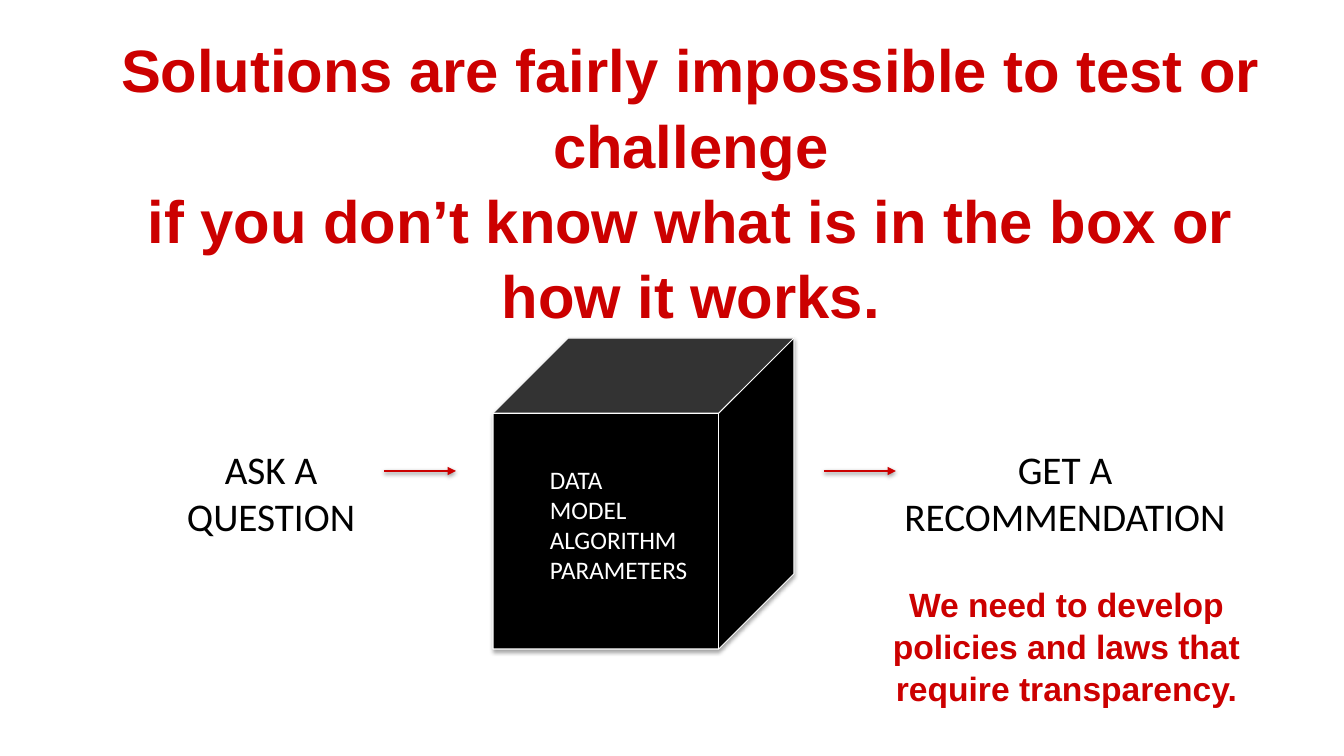
"""Build a slide showing a black box between a question and a recommendation."""
from pptx import Presentation
from pptx.dml.color import RGBColor
from pptx.enum.shapes import MSO_CONNECTOR, MSO_SHAPE
from pptx.enum.text import MSO_ANCHOR, MSO_AUTO_SIZE, PP_ALIGN
from pptx.oxml import parse_xml
from pptx.oxml.ns import nsdecls, qn
from pptx.util import Emu, Pt

RED = RGBColor(0xCC, 0x00, 0x00)
BLACK = RGBColor(0x00, 0x00, 0x00)
WHITE = RGBColor(0xFF, 0xFF, 0xFF)
EMU_PER_PX = 914400 / 100.8

TITLE = ["Solutions are fairly impossible to test or challenge\n"
         "if you don’t know what is in the box or how it works."]
TITLE_BOX = (86, 121, 1210, 118)
CUBE_BOX = (493, 338, 301, 311)
STATEMENT = {"font": "Arial", "color": RED, "bold": True,
             "anchor": MSO_ANCHOR.MIDDLE, "spacing": 1.05}
TEXTS = [
    (["DATA", "MODEL", "ALGORITHM", "PARAMETERS"], (540, 459, 231, 132),
     {"size": 18, "color": WHITE, "align": PP_ALIGN.LEFT}),
    (["ASK A QUESTION"], (133, 440, 276, 105), {"size": 28}),
    (["GET A", "RECOMMENDATION"], (878, 440, 374, 105), {"size": 28}),
    (["We need to develop policies and laws that require transparency."],
     (842, 586, 449, 118), {"size": 24, **STATEMENT}),
]
ARROW_STARTS = [384, 824]
ARROW_Y, ARROW_LENGTH = 471, 72


def px(*lengths):
    """Turn pixel lengths into EMU."""
    return [Emu(round(length * EMU_PER_PX)) for length in lengths]


def write_text(shape, lines, size=18, font="Calibri", color=BLACK, bold=False,
               align=PP_ALIGN.CENTER, anchor=MSO_ANCHOR.TOP, spacing=1.0):
    """Fill a shape with one formatted paragraph per line."""
    frame = shape.text_frame
    frame.word_wrap = True
    frame.auto_size = MSO_AUTO_SIZE.NONE
    frame.vertical_anchor = anchor
    for index, line in enumerate(lines):
        paragraph = frame.paragraphs[0] if index == 0 else frame.add_paragraph()
        paragraph.text = line
        paragraph.alignment = align
        paragraph.line_spacing = spacing
        for run in paragraph.runs:
            run.font.size = Pt(size)
            run.font.name = font
            run.font.bold = bold
            run.font.color.rgb = color


def add_shadow(shape, distance, opacity):
    """Cast a soft black shadow straight down."""
    shape._element.spPr.append(parse_xml(
        f'<a:effectLst {nsdecls("a")}>'
        f'<a:outerShdw blurRad="{Pt(3.1)}" dist="{Pt(distance)}" dir="5400000" rotWithShape="0">'
        f'<a:srgbClr val="{BLACK}"><a:alpha val="{opacity * 1000}"/></a:srgbClr>'
        '</a:outerShdw></a:effectLst>'))


def add_cube(slide):
    """Draw the black box."""
    cube = slide.shapes.add_shape(MSO_SHAPE.CUBE, *px(*CUBE_BOX))
    cube.fill.solid()
    cube.fill.fore_color.rgb = BLACK
    cube.line.color.rgb = WHITE
    cube.line.width = Pt(0.75)
    add_shadow(cube, distance=1.8, opacity=35)


def add_arrow(slide, start):
    """Draw a red arrow pointing right."""
    arrow = slide.shapes.add_connector(
        MSO_CONNECTOR.STRAIGHT, *px(start, ARROW_Y, start + ARROW_LENGTH, ARROW_Y))
    arrow.line.color.rgb = RED
    arrow.line.width = Pt(2)
    outline = arrow._element.spPr.find(qn("a:ln"))
    outline.append(parse_xml(f'<a:tailEnd {nsdecls("a")} type="triangle"/>'))
    add_shadow(arrow, distance=1.6, opacity=38)


def main():
    """Assemble and save the slide."""
    presentation = Presentation()
    presentation.slide_width, presentation.slide_height = px(1344, 756)
    slide = presentation.slides.add_slide(presentation.slide_layouts[5])
    title = slide.shapes.title
    title.left, title.top, title.width, title.height = px(*TITLE_BOX)
    write_text(title, TITLE, size=42.7, **STATEMENT)
    add_cube(slide)
    for lines, box, style in TEXTS:
        write_text(slide.shapes.add_textbox(*px(*box)), lines, **style)
    for start in ARROW_STARTS:
        add_arrow(slide, start)
    presentation.save("out.pptx")


if __name__ == "__main__":
    main()
